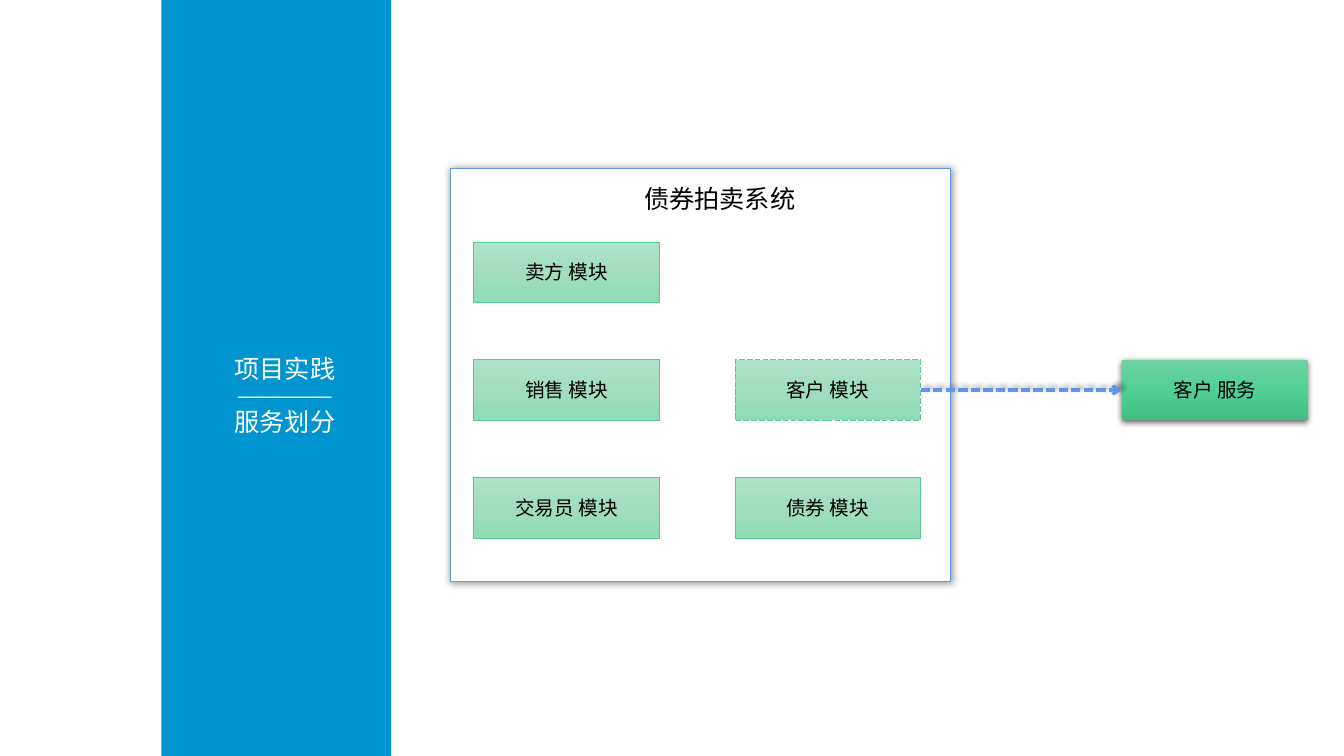
from copy import deepcopy

from lxml import etree
from pptx import Presentation
from pptx import util as u
from pptx.dml.color import RGBColor
from pptx.enum import dml, shapes, text
from pptx.oxml import ns

WHITE = RGBColor(0xFF, 0xFF, 0xFF)
BLACK = RGBColor(0, 0, 0)
BAND_BLUE = RGBColor(0x00, 0x94, 0xD1)
LINE_BLUE = RGBColor(0x60, 0x96, 0xE6)
LINE_GREEN = RGBColor(0x56, 0xCA, 0x95)
PALE_GREENS = [RGBColor(0xAE, 0xE3, 0xC8), RGBColor(0xA1, 0xDD, 0xBE), RGBColor(0x90, 0xDC, 0xB5)]
DEEP_GREENS = [RGBColor(0x6D, 0xD1, 0xA1), RGBColor(0x50, 0xD0, 0x96), RGBColor(0x41, 0xBF, 0x85)]

SIDEBAR_LINES = [("项目实践", 18), ("—————", 13.5), ("服务划分", 18)]
SYSTEM_TITLE = "债券拍卖系统"
MODULES = {
    (0, 0): "卖方 模块",
    (0, 1): "销售 模块",
    (0, 2): "交易员 模块",
    (1, 1): "客户 模块",
    (1, 2): "债券 模块",
}
EXTRACTED = (1, 1)
SERVICE = "客户 服务"

SLIDE_WIDTH, SLIDE_HEIGHT = 13.33, 7.5
GRID_LEFT, GRID_TOP = 4.7, 2.4
COLUMN_PITCH, ROW_PITCH = 2.59, 1.17
BOX_WIDTH, BOX_HEIGHT = 1.84, 0.6
SERVICE_LEFT = 11.13


def inches(*lengths):
    return [u.Inches(length) for length in lengths]


def write(shape, content, size=14, color=BLACK, align=text.PP_ALIGN.CENTER, first=True):
    frame = shape.text_frame
    paragraph = frame.paragraphs[0] if first else frame.add_paragraph()
    paragraph.alignment = align
    run = paragraph.add_run()
    run.text = content
    run.font.name = "Arial"
    run.font.size = u.Pt(size)
    run.font.color.rgb = color


def add_shadow(properties, opacity, blur, distance, angle):
    effects = properties.find(ns.qn("a:effectLst"))
    if effects is None:
        effects = etree.SubElement(properties, ns.qn("a:effectLst"))
    shadow = etree.SubElement(
        effects, ns.qn("a:outerShdw"), blurRad=str(u.Pt(blur)),
        dist=str(u.Pt(distance)), dir=str(angle * 60000), rotWithShape="0")
    color = etree.SubElement(shadow, ns.qn("a:srgbClr"), val=str(BLACK))
    etree.SubElement(color, ns.qn("a:alpha"), val=str(opacity * 1000))


def fill_gradient(shape, colors):
    shape.fill.gradient()
    shape.fill.gradient_angle = 270
    stop_list = shape._element.spPr.find(".//" + ns.qn("a:gsLst"))
    stop_list.append(deepcopy(stop_list[-1]))
    for index, (stop, color) in enumerate(zip(shape.fill.gradient_stops, colors)):
        stop.position = index / (len(colors) - 1)
        stop.color.rgb = color


def add_box(slide, place, fill, line=None, width=1, dash=None, shadow=None):
    shape = slide.shapes.add_shape(shapes.MSO_SHAPE.RECTANGLE, *inches(*place))
    shape.shadow.inherit = False
    if isinstance(fill, list):
        fill_gradient(shape, fill)
    else:
        shape.fill.solid()
        shape.fill.fore_color.rgb = fill
    if line is None:
        shape.line.fill.background()
    else:
        shape.line.color.rgb = line
        shape.line.width = u.Pt(width)
        shape.line.dash_style = dash
    if shadow:
        add_shadow(shape._element.spPr, *shadow)
    return shape


def add_sidebar(slide):
    add_box(slide, (1.6, 0, 2.28, SLIDE_HEIGHT), BAND_BLUE)
    label = slide.shapes.add_textbox(*inches(1.87, 3.45, 1.91, 0.93))
    label.text_frame.word_wrap = True
    label.text_frame.vertical_anchor = text.MSO_ANCHOR.MIDDLE
    for index, (content, size) in enumerate(SIDEBAR_LINES):
        write(label, content, size=size, color=WHITE, first=index == 0)


def add_system(slide):
    add_box(slide, (4.47, 1.67, 4.96, 4.1), WHITE, LINE_BLUE, shadow=(40, 5, 0, 0))
    title = slide.shapes.add_textbox(*inches(6.29, 1.77, 1.72, 0.4))
    title.text_frame.word_wrap = False
    write(title, SYSTEM_TITLE, size=18, align=text.PP_ALIGN.LEFT)
    boxes = {}
    for (column, row), name in MODULES.items():
        place = (GRID_LEFT + column * COLUMN_PITCH, GRID_TOP + row * ROW_PITCH, BOX_WIDTH, BOX_HEIGHT)
        dash = dml.MSO_LINE.LONG_DASH if (column, row) == EXTRACTED else None
        boxes[column, row] = add_box(slide, place, PALE_GREENS, LINE_GREEN, width=0.5, dash=dash)
        write(boxes[column, row], name)
    return boxes[EXTRACTED]


def add_service(slide, module):
    top = GRID_TOP + EXTRACTED[1] * ROW_PITCH
    service = add_box(slide, (SERVICE_LEFT, top, BOX_WIDTH, BOX_HEIGHT), DEEP_GREENS,
                      shadow=(63, 4.5, 1.5, 90))
    write(service, SERVICE)
    arrow = slide.shapes.add_connector(shapes.MSO_CONNECTOR.STRAIGHT, 0, 0, 0, 0)
    arrow.begin_connect(module, 3)
    arrow.end_connect(service, 1)
    arrow.line.color.rgb = LINE_BLUE
    arrow.line.width = u.Pt(2.25)
    arrow.line.dash_style = dml.MSO_LINE.SQUARE_DOT
    etree.SubElement(arrow.line._get_or_add_ln(), ns.qn("a:tailEnd"), type="arrow")
    add_shadow(arrow._element.spPr, 40, 4, 3, 315)


def main():
    presentation = Presentation()
    presentation.slide_width, presentation.slide_height = inches(SLIDE_WIDTH, SLIDE_HEIGHT)
    slide = presentation.slides.add_slide(presentation.slide_layouts[6])
    add_sidebar(slide)
    module = add_system(slide)
    add_service(slide, module)
    presentation.save("out.pptx")


if __name__ == "__main__":
    main()
